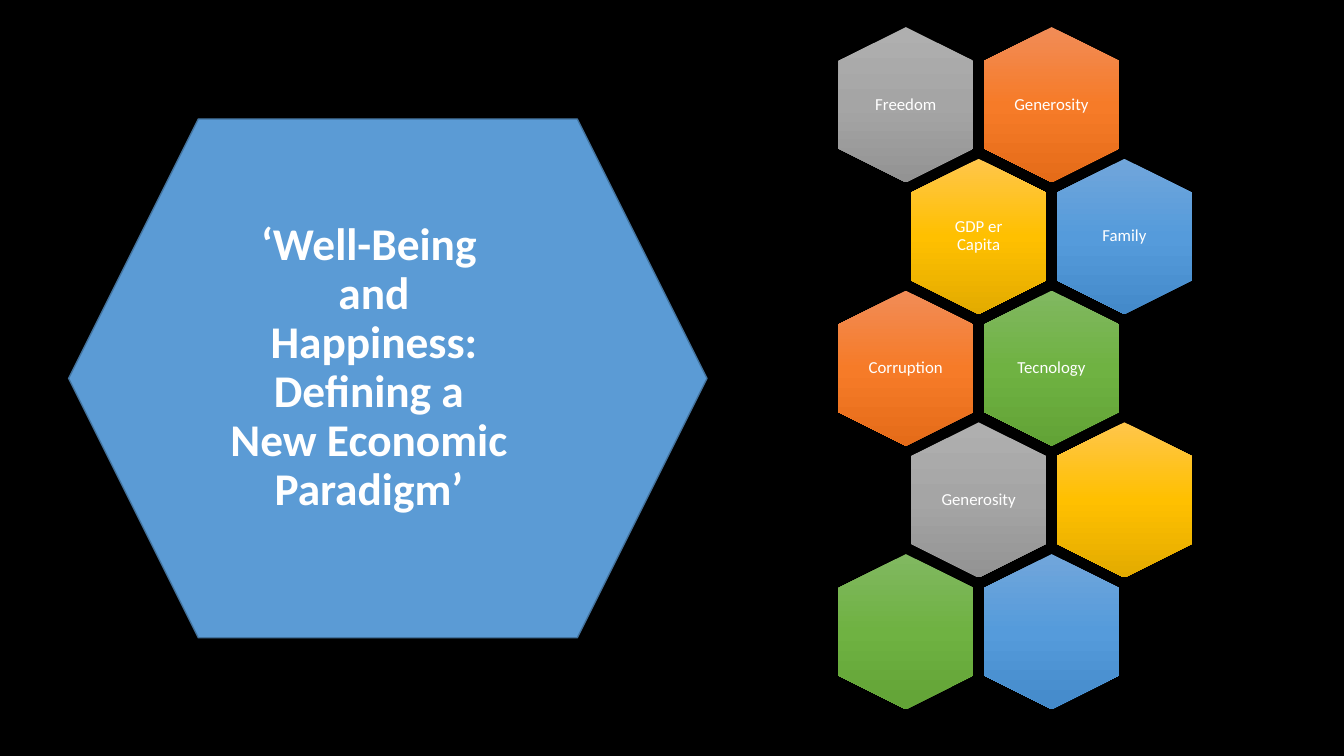
from copy import deepcopy

from pptx import Presentation
from pptx.dml.color import RGBColor
from pptx.enum.shapes import MSO_SHAPE
from pptx.enum.text import MSO_ANCHOR, PP_ALIGN
from pptx.util import Pt

BLACK = RGBColor(0x00, 0x00, 0x00)
WHITE = RGBColor(0xFF, 0xFF, 0xFF)
TITLE_BLUE = RGBColor(0x5B, 0x9B, 0xD5)
TITLE_EDGE = RGBColor(0x43, 0x73, 0x9E)

# Top, middle and bottom colour of each gradient
GRAY = (RGBColor(0xAF, 0xAF, 0xAF), RGBColor(0xA5, 0xA5, 0xA5), RGBColor(0x93, 0x93, 0x93))
ORANGE = (RGBColor(0xF1, 0x8C, 0x57), RGBColor(0xF6, 0x7B, 0x28), RGBColor(0xE5, 0x6C, 0x19))
GOLD = (RGBColor(0xFF, 0xC6, 0x4B), RGBColor(0xFF, 0xC0, 0x00), RGBColor(0xE3, 0xAB, 0x00))
BLUE = (RGBColor(0x71, 0xA6, 0xDB), RGBColor(0x55, 0x9B, 0xDB), RGBColor(0x44, 0x8A, 0xCA))
GREEN = (RGBColor(0x81, 0xB8, 0x61), RGBColor(0x6F, 0xB2, 0x42), RGBColor(0x62, 0xA3, 0x36))

HONEYCOMB = [
    [("Freedom", GRAY), ("Generosity", ORANGE)],
    [("GDP er Capita", GOLD), ("Family", BLUE)],
    [("Corruption", ORANGE), ("Tecnology", GREEN)],
    [("Generosity", GRAY), ("", GOLD)],
    [("", GREEN), ("", BLUE)],
]
CELL_LEFT, CELL_TOP = 591.6, 26.6
CELL_WIDTH, CELL_HEIGHT = 110.8, 96.4  # before the quarter turn
COLUMN_STEP, ROW_STEP = 104.1, 94.1
LABEL_WIDTH, LABEL_HEIGHT = 66.2, 76.3


def add_text(page, text, left, top, width, height, size, inset_x, inset_y):
    box = page.shapes.add_textbox(Pt(left), Pt(top), Pt(width), Pt(height))
    frame = box.text_frame
    frame.word_wrap = True
    frame.vertical_anchor = MSO_ANCHOR.MIDDLE
    frame.margin_left = frame.margin_right = Pt(inset_x)
    frame.margin_top = frame.margin_bottom = Pt(inset_y)
    para = frame.paragraphs[0]
    para.text = text
    para.alignment = PP_ALIGN.CENTER
    para.line_spacing = 0.9
    para.font.name = "Calibri"
    para.font.size = Pt(size)
    para.font.color.rgb = WHITE
    return para


def fill_downwards(shape, colors):
    """Give a turned shape a three-stop gradient that runs down the page."""
    shape.fill.gradient()
    shape.fill.gradient_angle = 270
    gradient = shape.element.spPr.find("{*}gradFill")
    gradient.set("rotWithShape", "0")
    stop_list = gradient.find("{*}gsLst")
    stop_list.append(deepcopy(stop_list[-1]))
    for stop, position, color in zip(shape.fill.gradient_stops, (0, 0.5, 1), colors):
        stop.position = position
        stop.color.rgb = color


deck = Presentation()
deck.slide_width, deck.slide_height = Pt(960), Pt(540)
page = deck.slides.add_slide(deck.slide_layouts[6])
page.background.fill.solid()
page.background.fill.fore_color.rgb = BLACK

for row, cells in enumerate(HONEYCOMB):
    for column, (label, colors) in enumerate(cells):
        left = CELL_LEFT + (column + row % 2 / 2) * COLUMN_STEP
        top = CELL_TOP + row * ROW_STEP
        cell = page.shapes.add_shape(
            MSO_SHAPE.HEXAGON, Pt(left), Pt(top), Pt(CELL_WIDTH), Pt(CELL_HEIGHT))
        cell.rotation = 90
        cell.adjustments[0] = 0.25
        cell.shadow.inherit = False
        cell.line.fill.background()
        fill_downwards(cell, colors)
        if label:
            add_text(page, label,
                     left + (CELL_WIDTH - LABEL_WIDTH) / 2,
                     top + (CELL_HEIGHT - LABEL_HEIGHT) / 2,
                     LABEL_WIDTH, LABEL_HEIGHT, 12, 3.6, 3.6)

title_hexagon = page.shapes.add_shape(
    MSO_SHAPE.HEXAGON, Pt(49), Pt(85), Pt(456), Pt(370.6))
title_hexagon.adjustments[0] = 0.25
title_hexagon.shadow.inherit = False
title_hexagon.fill.solid()
title_hexagon.fill.fore_color.rgb = TITLE_BLUE
title_hexagon.line.color.rgb = TITLE_EDGE
title_hexagon.line.width = Pt(1)

title = add_text(
    page, "‘Well-Being\v and\v Happiness:\v Defining a \vNew Economic\v Paradigm’ ",
    114.5, 170.6, 298, 185, 32.4, 7.2, 3.6)
title.font.bold = True

deck.save("out.pptx")
